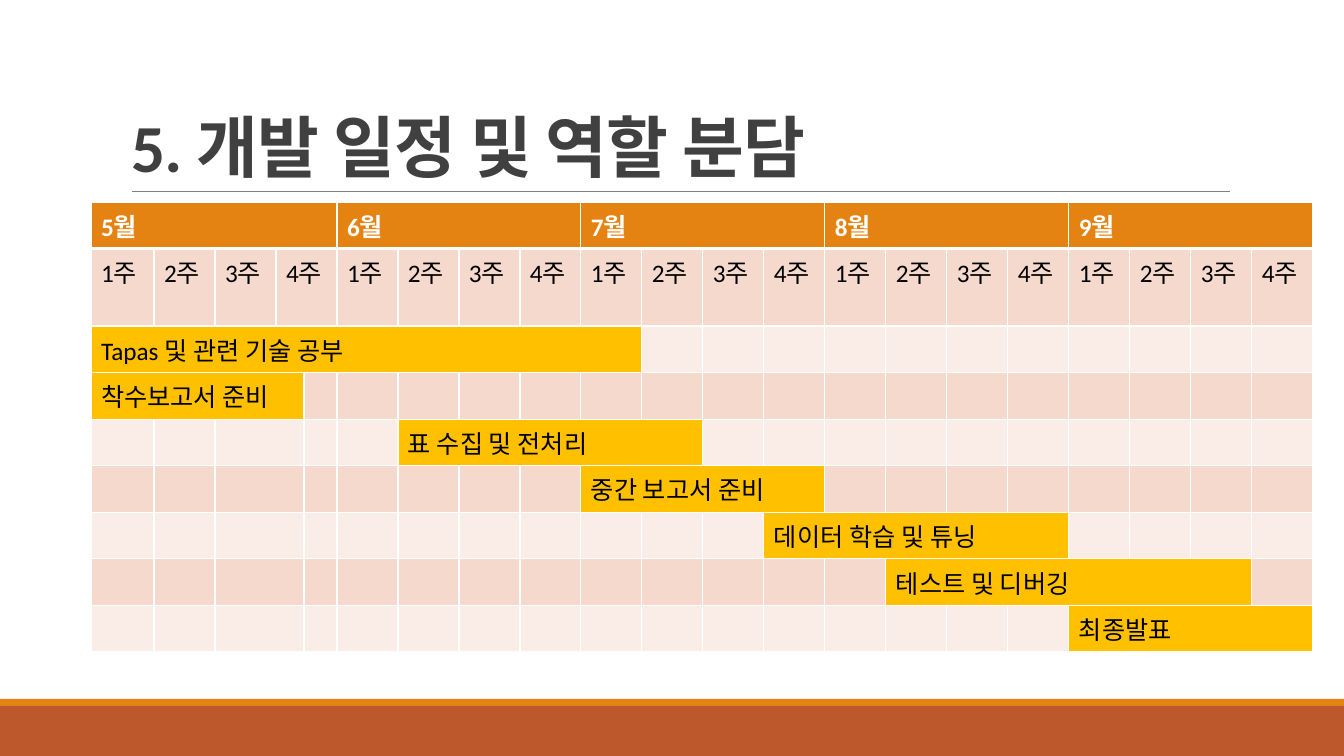
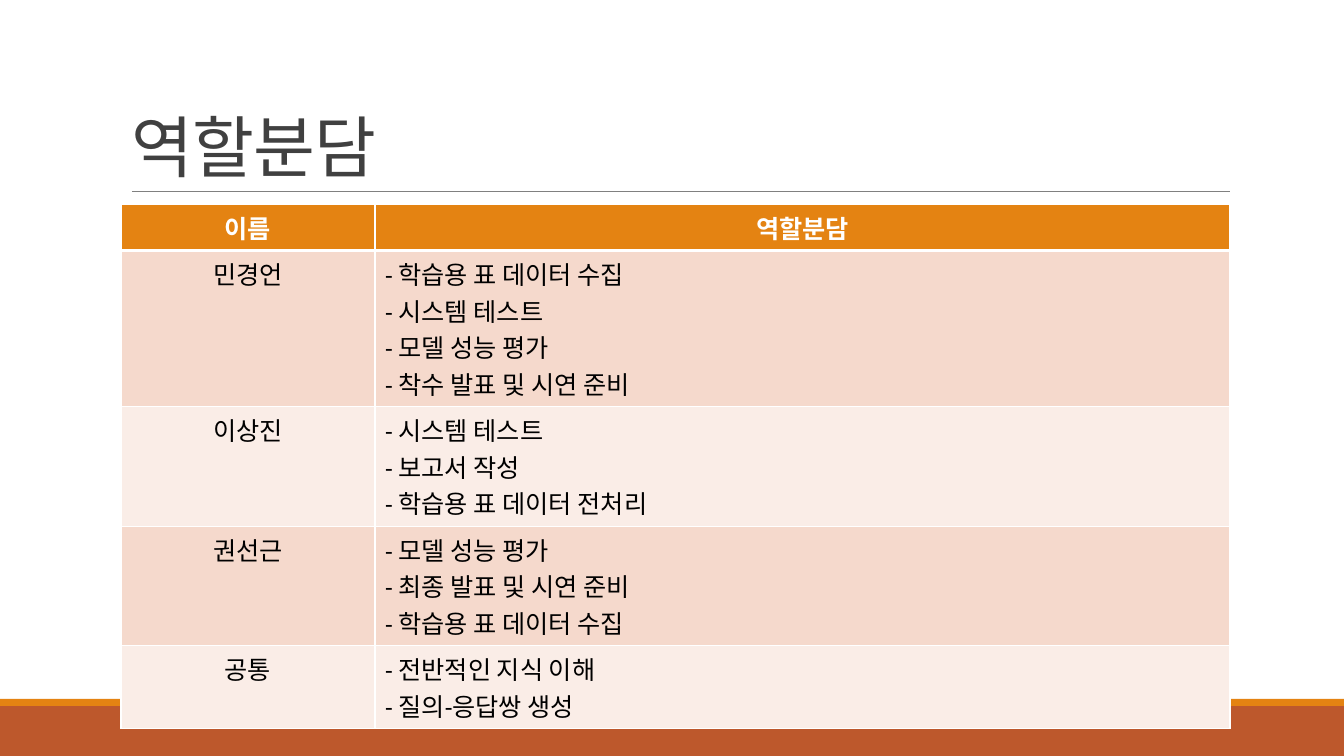
from lxml import etree
from pptx import Presentation
from pptx.dml.color import RGBColor
from pptx.enum.shapes import MSO_CONNECTOR, MSO_SHAPE
from pptx.enum.text import MSO_ANCHOR, MSO_AUTO_SIZE, PP_ALIGN
from pptx.oxml.ns import qn
from pptx.util import Emu, Pt

RECTANGLE = MSO_SHAPE.RECTANGLE
STRAIGHT = MSO_CONNECTOR.STRAIGHT
BOTTOM = MSO_ANCHOR.BOTTOM
NO_AUTOFIT = MSO_AUTO_SIZE.NONE
LEFT, CENTER = PP_ALIGN.LEFT, PP_ALIGN.CENTER

SLIDE_W, SLIDE_H = 1344, 756
TITLE_ONLY = 5

MONTHS = ["5월", "6월", "7월", "8월", "9월"]
WEEKS_PER_MONTH = 4
WEEK_W = 61
# The fourth week of the first month is divided into two columns.
WEEK_COLUMNS = [63, WEEK_W, WEEK_W, 28, 33] + [WEEK_W] * 16
SPLIT_COLUMN = 3

# Task, first column, number of columns
TASKS = [
    ("Tapas 및 관련 기술 공부", 0, 10),
    ("착수보고서 준비", 0, 4),
    ("표 수집 및 전처리", 6, 5),
    ("중간 보고서 준비", 9, 4),
    ("데이터 학습 및 튜닝", 12, 5),
    ("테스트 및 디버깅", 14, 6),
    ("최종발표", 17, 4),
]

ROLES = [
    ("민경언", ["학습용 표 데이터 수집", "시스템 테스트", "모델 성능 평가",
             "착수 발표 및 시연 준비"]),
    ("이상진", ["시스템 테스트", "보고서 작성", "학습용 표 데이터 전처리"]),
    ("권선근", ["모델 성능 평가", "최종 발표 및 시연 준비", "학습용 표 데이터 수집"]),
    ("공통", ["전반적인 지식 이해", "질의-응답쌍 생성"]),
]


def px(length):
    return Emu(round(length * 914400 / 100.8))


def color(value):
    return RGBColor.from_string(value)


class Deck:
    FONT = "Calibri"
    WHITE, BLACK, TITLE, RULE = "FFFFFF", "000000", "404040", "808080"
    ORANGE, RUST, BAR = "E48312", "BD582C", "FFC000"
    STRIPES = ["FAEDE7", "F5D9CC"]

    def __init__(self):
        self.presentation = Presentation()
        self.presentation.slide_width = px(SLIDE_W)
        self.presentation.slide_height = px(SLIDE_H)
        self.slide = None

    def new_slide(self, heading, bold=False):
        """Start a slide with the shared bands, rule and title."""
        layout = self.presentation.slide_layouts[TITLE_ONLY]
        self.slide = self.presentation.slides.add_slide(layout)
        self.band(706, 50, self.RUST)
        self.band(699, 7, self.ORANGE)
        self.rule(132, 1230, 191)
        self.title(heading, bold)

    def band(self, top, height, fill):
        band = self.slide.shapes.add_shape(
            RECTANGLE, 0, px(top), px(SLIDE_W), px(height))
        band.shadow.inherit = False
        band.fill.solid()
        band.fill.fore_color.rgb = color(fill)
        band.line.fill.background()

    def rule(self, left, right, y):
        rule = self.slide.shapes.add_connector(
            STRAIGHT, px(left), px(y), px(right), px(y))
        rule.line.color.rgb = color(self.RULE)
        rule.line.width = Pt(0.5)
        etree.SubElement(rule._element.spPr, qn("a:effectLst"))

    def title(self, heading, bold):
        title = self.slide.shapes.title
        title.left, title.top = px(121), px(31)
        title.width, title.height = px(1109), px(160)
        frame = title.text_frame
        frame.text = heading
        frame.word_wrap = True
        frame.auto_size = NO_AUTOFIT
        frame.vertical_anchor = BOTTOM
        paragraph = frame.paragraphs[0]
        paragraph.alignment = LEFT
        paragraph.line_spacing = 0.85
        self.format_runs(paragraph, 48, self.TITLE, bold)
        for run in paragraph.runs:
            run._r.get_or_add_rPr().set("spc", "-50")

    def format_runs(self, paragraph, size, ink, bold):
        for run in paragraph.runs:
            run.font.name = self.FONT
            run.font.size = Pt(size)
            run.font.bold = bold
            run.font.color.rgb = color(ink)

    def table(self, left, top, widths, row_height, row_count):
        """Add a striped table with a header row and white borders."""
        frame = self.slide.shapes.add_table(
            row_count, len(widths), px(left), px(top),
            px(sum(widths)), px(row_height * row_count))
        table = frame.table
        for column, width in zip(table.columns, widths):
            column.width = px(width)
        for index, row in enumerate(table.rows):
            row.height = px(row_height)
            for cell in row.cells:
                self.fill_cell(cell, self.STRIPES[index % 2] if index else self.ORANGE)
                self.borders(cell, top=3 if index == 1 else 1,
                             bottom=1 if index else 3)
        return table

    def fill_cell(self, cell, fill):
        cell.fill.solid()
        cell.fill.fore_color.rgb = color(fill)

    def borders(self, cell, top, bottom):
        properties = cell._tc.get_or_add_tcPr()
        sides = [("a:lnL", 1), ("a:lnR", 1), ("a:lnT", top), ("a:lnB", bottom)]
        for position, (side, width) in enumerate(sides):
            line = etree.Element(qn(side), w=str(Pt(width)))
            fill = etree.SubElement(line, qn("a:solidFill"))
            etree.SubElement(fill, qn("a:srgbClr"), val=self.WHITE)
            properties.insert(position, line)

    def cell_text(self, table, row, column, text, span=1, align=LEFT, fill=None):
        """Put text in a cell, merged over span columns."""
        cell = table.cell(row, column)
        if span > 1:
            cell.merge(table.cell(row, column + span - 1))
        if fill:
            self.fill_cell(cell, fill)
        cell.text_frame.text = text
        header = row == 0
        for paragraph in cell.text_frame.paragraphs:
            paragraph.alignment = align
            self.format_runs(paragraph, 18,
                             self.WHITE if header else self.BLACK, header)


def schedule_slide(deck):
    deck.new_slide("5. 개발 일정 및 역할 분담", bold=True)
    schedule = deck.table(91, 202, WEEK_COLUMNS, 46, len(TASKS) + 2)

    column = 0
    for month in MONTHS:
        first = column
        for week in range(1, WEEKS_PER_MONTH + 1):
            span = 2 if column == SPLIT_COLUMN else 1
            deck.cell_text(schedule, 1, column, f"{week}주", span)
            column += span
        deck.cell_text(schedule, 0, first, month, column - first)

    for row, (task, start, span) in enumerate(TASKS, start=2):
        deck.cell_text(schedule, row, start, task, span, fill=deck.BAR)
        if start > SPLIT_COLUMN:
            schedule.cell(row, SPLIT_COLUMN - 1).merge(
                schedule.cell(row, SPLIT_COLUMN))


def roles_slide(deck):
    deck.new_slide("역할분담")
    roles = deck.table(121, 204, [254, 855], 42, len(ROLES) + 1)
    for column, label in enumerate(["이름", "역할분담"]):
        deck.cell_text(roles, 0, column, label, align=CENTER)
    for row, (member, duties) in enumerate(ROLES, start=1):
        deck.cell_text(roles, row, 0, member, align=CENTER)
        deck.cell_text(roles, row, 1, "\n".join(f"- {duty}" for duty in duties))


def main():
    deck = Deck()
    schedule_slide(deck)
    roles_slide(deck)
    deck.presentation.save("out.pptx")


if __name__ == "__main__":
    main()
